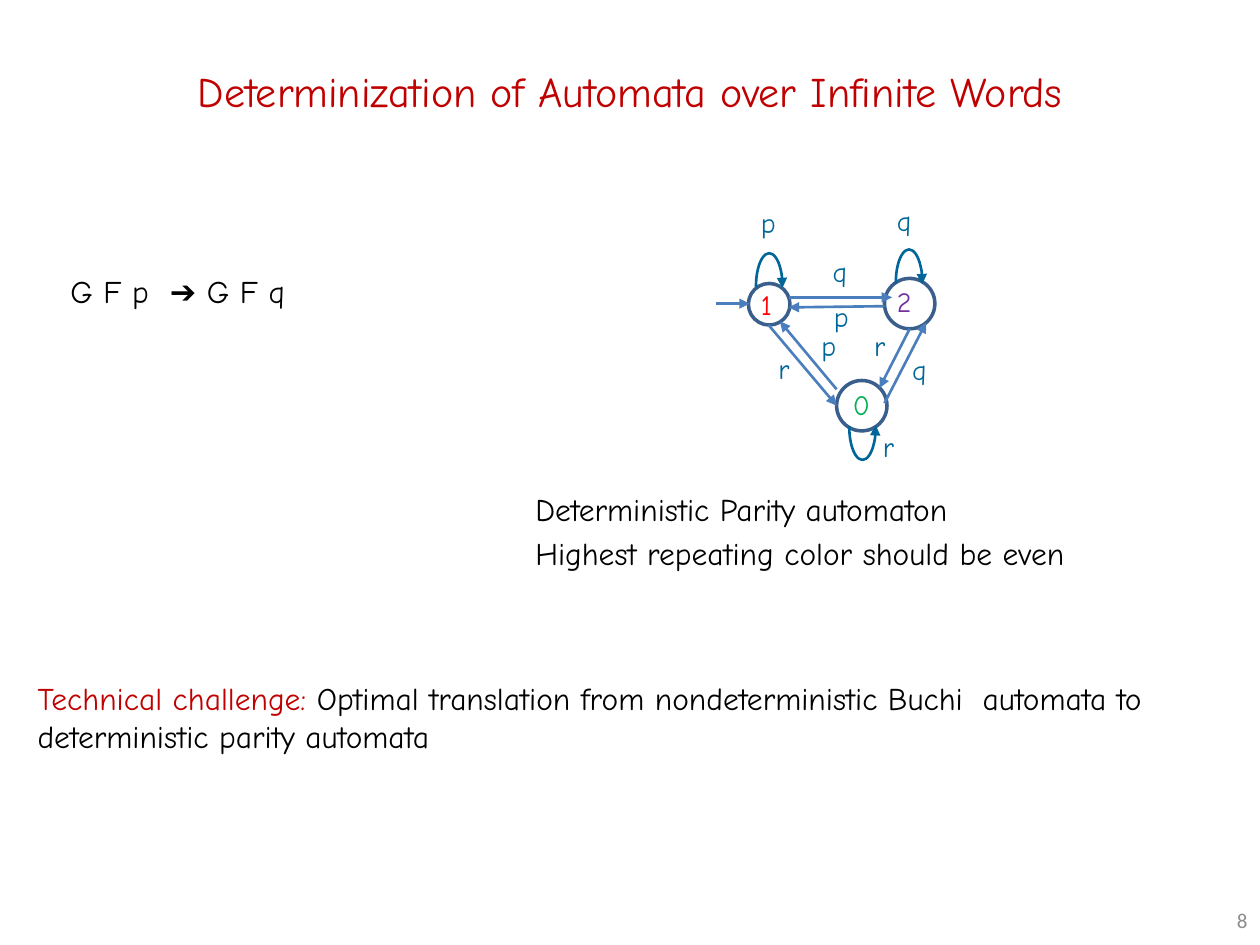
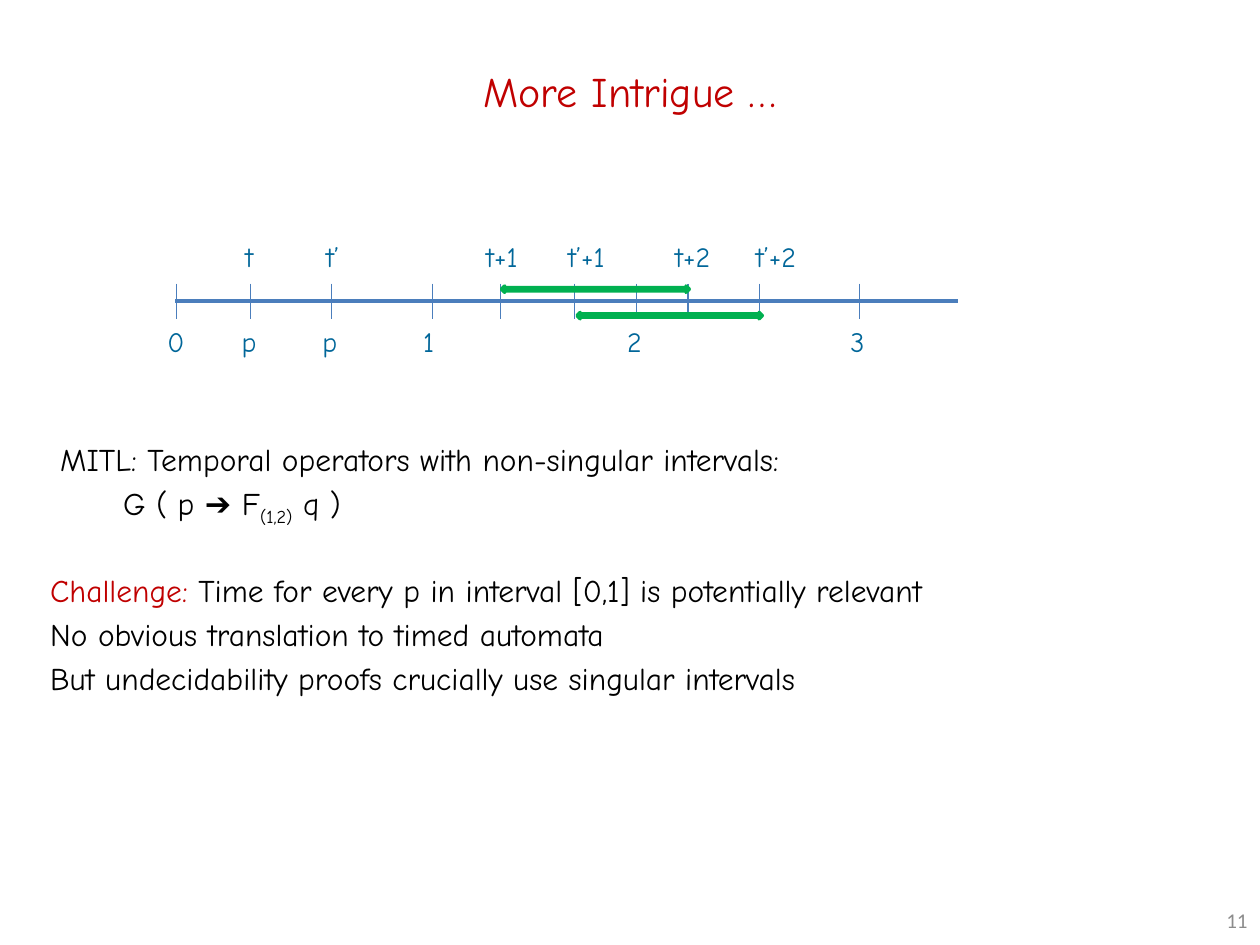
from dataclasses import dataclass
from pptx import Presentation
from pptx.dml.color import RGBColor as Rgb
from pptx.enum.shapes import MSO_CONNECTOR as Link, MSO_SHAPE as Kind
from pptx.enum.text import MSO_ANCHOR as Anchor, PP_ALIGN as Align
from pptx.oxml.ns import qn
from pptx.util import Inches, Pt
from lxml.etree import SubElement as add_node


@dataclass(frozen=True)
class Theme:
    font: str = "Comic Neue"
    plain: str = "Calibri"
    red: str = "C00000"
    ink: str = "000000"
    teal: str = "006699"
    gray: str = "8C8C8C"
    edge: str = "4B7EBC"
    ring: str = "3A5F8C"
    green: str = "00B050"
    violet: str = "7030A0"
    bright: str = "FF0000"
    head: int = 24
    body: int = 18
    label: int = 16
    foot: int = 12
    thin: float = 0.75
    mid: float = 1.5
    thick: float = 2


T = Theme()
COLS, ROWS = 100, 75


def cells(*units):
    return [Inches(unit * 10 / COLS) for unit in units]


def style(run, size, color, font=T.font):
    run.font.size = Pt(size)
    run.font.name = font
    run.font.color.rgb = Rgb.from_string(color)


def write(slide, box, paras, size=T.body, font=T.font, gap=0.2):
    frame = slide.shapes.add_textbox(*cells(*box)).text_frame
    frame.word_wrap = True
    for index, parts in enumerate(paras):
        para = frame.add_paragraph() if index else frame.paragraphs[0]
        para.space_before = Pt(size * gap)
        for words, color, *base in parts:
            run = para.add_run()
            run.text = words
            style(run, size, color, font)
            if base:
                run.font._element.set("baseline", str(base[0] * 1000))
    return frame


def label(slide, left, top, words, color=T.teal, width=3.7):
    frame = write(slide, (left, top, width, 4.4), [[(words, color)]], T.label)
    frame.margin_right = 0


def stroke(shape, color, weight, arrow=False):
    shape.line.color.rgb = Rgb.from_string(color)
    shape.line.width = Pt(weight)
    if arrow:
        add_node(shape.line._get_or_add_ln(), qn("a:tailEnd"), type="triangle")


def line(slide, ends, weight, arrow=False):
    link = slide.shapes.add_connector(Link.STRAIGHT, *cells(*ends))
    stroke(link, T.edge, weight, arrow)
    add_node(link._element.spPr, qn("a:effectLst"))


def shape(slide, kind, box, color, weight, fill=None, arrow=False):
    item = slide.shapes.add_shape(kind, *cells(*box))
    item.shadow.inherit = False
    if fill:
        item.fill.solid()
        item.fill.fore_color.rgb = Rgb.from_string(fill)
    else:
        item.fill.background()
    stroke(item, color, weight, arrow)
    return item


def state(slide, left, top, size):
    shape(slide, Kind.OVAL, (left, top, size, size), T.ring, T.thick)


def loop(slide, left, top, flip=False):
    arc = shape(slide, Kind.ARC, (left, top, 2.1, 5.2), T.teal, T.mid, arrow=True)
    arc.adjustments[0] = 105.92
    arc.adjustments[1] = 5.45
    if flip:
        arc._element.spPr.xfrm.set("flipV", "1")


def page(deck, words, number):
    slide = deck.slides.add_slide(deck.slide_layouts[5])
    title = slide.shapes.title
    title.left, title.top, title.width, title.height = cells(4.6, 3.3, 90.8, 7.8)
    frame = title.text_frame
    frame.text = words
    frame.vertical_anchor = Anchor.MIDDLE
    para = frame.paragraphs[0]
    para.alignment = Align.CENTER
    style(para.runs[0], T.head, T.red)
    foot = write(slide, (94.2, 71, 5.8, 4), [[(number, T.gray)]], T.foot, T.plain, 0)
    foot.vertical_anchor = Anchor.MIDDLE
    foot.paragraphs[0].alignment = Align.RIGHT
    return slide


def parity(deck):
    slide = page(deck, "Determinization of Automata over Infinite Words", "8")
    write(slide, (4.6, 21.1, 25.6, 5), [[("G F p  ➔ G F q", T.ink)]])
    write(slide, (41.5, 38.4, 49, 9.9), [
        [("Deterministic Parity automaton", T.ink)],
        [("Highest repeating color should be even", T.ink)],
    ])
    write(slide, (2, 53.4, 93.7, 10.2), [[
        ("Technical challenge: ", T.red),
        ("Optimal translation from nondeterministic Buchi \t"
         "automata to deterministic parity automata", T.ink),
    ]])
    for spot in ((59.4, 22.5, 3.3), (70.2, 22.1, 4), (66.4, 30.2, 4)):
        state(slide, *spot)
    for spot in ((60, 20.1), (71.1, 19.8), (67.4, 31.3, True)):
        loop(slide, *spot)
    edges = (
        (56.8, 24.1, 59.5, 24.1),
        (62.6, 23.6, 70.8, 23.6),
        (70.2, 24.3, 62.6, 24.4),
        (61, 25.8, 66.4, 32.2),
        (66.4, 30.9, 61.9, 25.5),
        (70.2, 32, 73.5, 25.6),
        (72.2, 26.1, 69.8, 30.8),
    )
    for ends in edges:
        line(slide, ends, T.mid, True)
    signs = (
        (59.4, 15.8, "p"), (70.2, 15.7, "q"), (69.1, 33.6, "r"),
        (65.1, 19.7, "q"), (65.2, 23.3, "p"),
        (60.8, 27.4, "r"), (64.2, 25.6, "p"),
        (68.4, 25.6, "r"), (71.4, 27.5, "q"),
        (66.7, 30.3, "0", T.green),
        (70.2, 22.1, "2", T.violet),
        (59.4, 22.3, "1", T.bright),
    )
    for sign in signs:
        label(slide, *sign)


def timing(deck):
    slide = page(deck, "More Intrigue …", "11")
    write(slide, (3.8, 34.4, 75, 7.5), [
        [("MITL: Temporal operators with non-singular intervals:", T.ink)],
        [("\tG ( p ➔ F", T.ink), ("(1,2)", T.ink, -25), (" q )", T.ink)],
    ])
    write(slide, (3, 44.8, 98.7, 15.3), [
        [("Challenge:", T.red),
         (" Time for every p in interval [0,1] is potentially relevant", T.ink)],
        [("No obvious translation to timed automata", T.ink)],
        [("But undecidability proofs crucially use singular intervals", T.ink)],
    ])
    line(slide, (13.9, 23.9, 76, 23.9), T.thick)
    ticks = (14, 19.9, 26.3, 34.3, 39.7, 45.6, 50.5, 54.6, 60.3, 68.2)
    for tick in ticks:
        line(slide, (tick, 22.5, tick, 25.3), T.thin)
    below = {14: "0", 19.9: "p", 26.3: "p", 34.3: "1", 50.5: "2", 68.2: "3"}
    for tick, words in below.items():
        label(slide, tick - 1.7, 25.3, words)
    above = (
        (18.5, "t"), (24.9, "t’"), (37.6, "t+1"),
        (44.1, "t’+1"), (52.6, "t+2"), (59, "t’+2"),
    )
    for left, words in above:
        label(slide, left, 18.5, words, width=6.5 if "+" in words else 3.6)
    for left, top, width in ((39.8, 22.7, 14.9), (45.8, 24.8, 14.7)):
        shape(slide, Kind.LEFT_RIGHT_ARROW, (left, top, width, 0.5),
              T.green, T.thick, T.green)


def main():
    deck = Presentation()
    deck.slide_width, deck.slide_height = cells(COLS, ROWS)
    parity(deck)
    timing(deck)
    deck.save("out.pptx")


if __name__ == "__main__":
    main()
